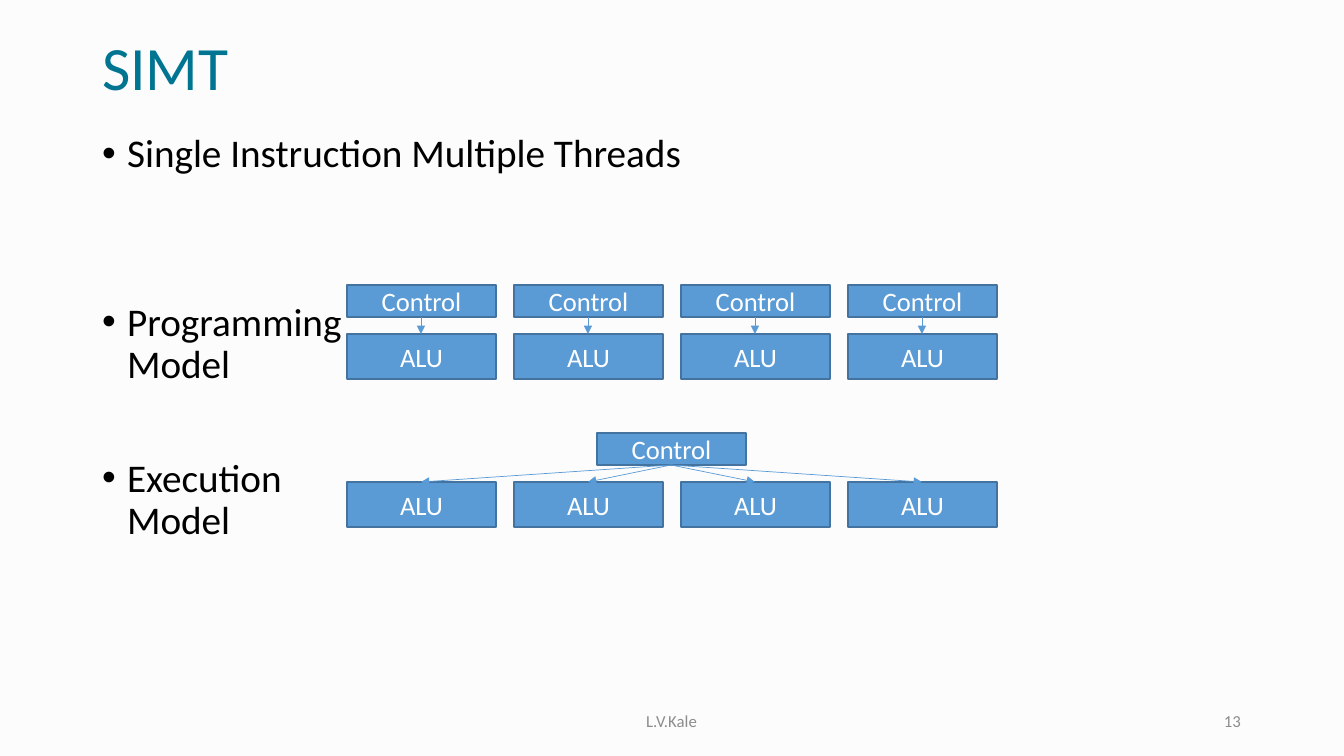
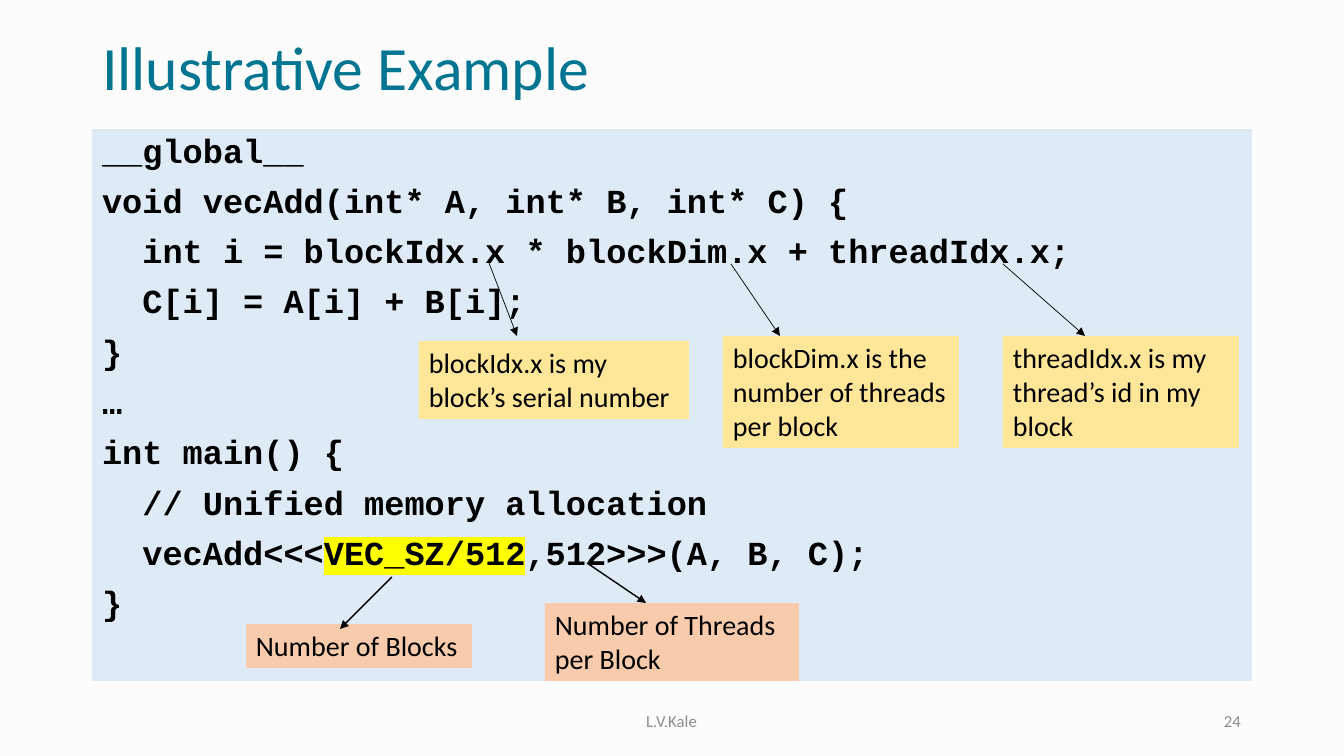
import copy
import dataclasses
import typing

import lxml.etree
import pptx
import pptx.dml.color
import pptx.enum.shapes
import pptx.enum.text
import pptx.oxml.ns
import pptx.util

PX = 12192000 / 1344
SANS, MONO = "Calibri", "Courier New"
COLORS = {
    "background": "FCFCFC", "title": "007592", "text": "000000", "footer": "8C8C8C",
    "box": "5B9BD5", "box_line": "43739E", "box_text": "FFFFFF", "code": "DEEBF7",
    "launch": "F8CBAD", "index": "FFE699", "highlight": "FFFF00",
}
ALIGN = pptx.enum.text.PP_ALIGN
ANCHOR = pptx.enum.text.MSO_ANCHOR
qn = pptx.oxml.ns.qn


class Rect(typing.NamedTuple):
    """A frame in px."""
    x: int
    y: int
    w: int
    h: int


class Style(typing.NamedTuple):
    """Look of a text run."""
    size: int
    color: str = "text"
    font: str = SANS
    bold: bool = False


@dataclasses.dataclass
class Item:
    """A body paragraph with its space before in points."""
    text: str
    before: int = 10


@dataclasses.dataclass
class Callout:
    """A coloured note."""
    text: str
    rect: Rect
    fill: str


@dataclasses.dataclass
class Arrow:
    """An arrow from one point to another, in px."""
    start: tuple[int, int]
    end: tuple[int, int]
    color: str = "text"
    width: float = 0.5


TITLE = Rect(92, 28, 1160, 85)
BODY = Rect(92, 129, 1160, 552)
FOOTER = Rect(445, 701, 453, 40)
NUMBER = Rect(949, 701, 302, 40)
TITLE_STYLE = Style(44, "title")
FOOTER_STYLE = Style(12, "footer")
LIST_STYLE = Style(28)
BOX_STYLE = Style(19, "box_text")
NOTE_STYLE = Style(20)
CODE_STYLE = Style(24, font=MONO, bold=True)

LANES, LANE_X, LANE_PITCH, BOX_W = 4, 347, 167, 149
CONTROL_H, ALU_H, ALU_DROP = 32, 45, 49
PROGRAMMING_Y, EXECUTION_Y = 285, 433

ITEMS = [
    Item("Single Instruction Multiple Threads", 0),
    Item("Programming\nModel", 90),
    Item("Execution\nModel", 51),
]
CODE = """__global__
void vecAdd(int* A, int* B, int* C) {
  int i = blockIdx.x * blockDim.x + threadIdx.x;
  C[i] = A[i] + B[i];
}
…
int main() {
  // Unified memory allocation
  vecAdd<<<VEC_SZ/512,512>>>(A, B, C);
}"""
BLOCK_COUNT = "VEC_SZ/512"
CALLOUTS = [
    Callout("Number of Blocks", Rect(246, 624, 226, 44), "launch"),
    Callout("Number of Threads per Block", Rect(545, 603, 254, 78), "launch"),
    Callout("blockIdx.x is my block’s serial number", Rect(419, 341, 270, 78), "index"),
    Callout("blockDim.x is the number of threads per block", Rect(723, 336, 236, 112), "index"),
    Callout("threadIdx.x is my thread’s id in my block", Rect(1003, 336, 236, 112), "index"),
]
CODE_ARROWS = [
    Arrow((392, 577), (340, 629), width=1),
    Arrow((587, 563), (646, 603), width=1),
    Arrow((731, 264), (780, 336)),
    Arrow((489, 263), (517, 336)),
    Arrow((1003, 264), (1085, 336)),
]


def emu(px: float) -> int:
    """Turn px into EMU."""
    return round(px * PX)


def rgb(name: str) -> pptx.dml.color.RGBColor:
    """Look up a named colour."""
    return pptx.dml.color.RGBColor.from_string(COLORS[name])


def paint(target, name: str) -> None:
    """Give a shape or background a solid fill."""
    target.fill.solid()
    target.fill.fore_color.rgb = rgb(name)


def place(shape, rect: Rect) -> None:
    """Move a shape to a frame."""
    shape.left, shape.top, shape.width, shape.height = map(emu, rect)


def format_runs(p, style: Style) -> None:
    """Apply a style to the runs and line breaks of a paragraph."""
    for r in p.runs:
        r.font.size = pptx.util.Pt(style.size)
        r.font.name = style.font
        r.font.bold = style.bold
        r.font.color.rgb = rgb(style.color)
    for br in p._p.findall(qn("a:br")):
        br.insert(0, copy.deepcopy(p.runs[0]._r.rPr))


def highlight(p, phrase: str, style: Style) -> None:
    """Put a marker colour behind one phrase of a paragraph."""
    before, after = p.text.split(phrase)
    p.text = before
    for part in (phrase, after):
        p.add_run().text = part
    format_runs(p, style)
    mark = lxml.etree.Element(qn("a:highlight"))
    lxml.etree.SubElement(mark, qn("a:srgbClr"), val=COLORS["highlight"])
    p.runs[1]._r.rPr.find(qn("a:latin")).addprevious(mark)


def set_text(shape, text: str, style: Style, align=ALIGN.LEFT, anchor=ANCHOR.TOP) -> None:
    """Fill a shape with one styled paragraph."""
    tf = shape.text_frame
    tf.word_wrap = True
    tf.auto_size = pptx.enum.text.MSO_AUTO_SIZE.NONE
    tf.vertical_anchor = anchor
    tf.text = text
    p = tf.paragraphs[0]
    p.alignment = align
    format_runs(p, style)


def add_text(s, rect: Rect, text: str, style: Style, align=ALIGN.LEFT, anchor=ANCHOR.TOP):
    """Add a text box."""
    box = s.shapes.add_textbox(*map(emu, rect))
    set_text(box, text, style, align, anchor)
    return box


def add_box(s, rect: Rect, label: str) -> None:
    """Add a labelled hardware unit."""
    box = s.shapes.add_shape(pptx.enum.shapes.MSO_SHAPE.RECTANGLE, *map(emu, rect))
    box.shadow.inherit = False
    paint(box, "box")
    box.line.color.rgb = rgb("box_line")
    box.line.width = pptx.util.Pt(1)
    set_text(box, label, BOX_STYLE, ALIGN.CENTER, ANCHOR.MIDDLE)


def add_arrow(s, arrow: Arrow) -> None:
    """Add a line with a triangle at its end."""
    kind = pptx.enum.shapes.MSO_CONNECTOR.STRAIGHT
    line = s.shapes.add_connector(kind, *map(emu, arrow.start + arrow.end))
    line.line.color.rgb = rgb(arrow.color)
    line.line.width = pptx.util.Pt(arrow.width)
    lxml.etree.SubElement(line.line._get_or_add_ln(), qn("a:tailEnd"), type="triangle")
    lxml.etree.SubElement(line._element.spPr, qn("a:effectLst"))


def fill_body(body, items: list[Item], style: Style, bullet: bool) -> None:
    """Write the body paragraphs, as bullets or plain lines."""
    place(body, BODY)
    tf = body.text_frame
    tf.word_wrap = True
    tf.auto_size = pptx.enum.text.MSO_AUTO_SIZE.NONE
    tf.vertical_anchor = ANCHOR.TOP
    indent = emu(25) if bullet else 0
    for i, item in enumerate(items):
        p = tf.add_paragraph() if i else tf.paragraphs[0]
        p.text = item.text
        pPr = p._p.get_or_add_pPr()
        pPr.set("marL", str(indent))
        pPr.set("indent", str(-indent))
        if bullet:
            lxml.etree.SubElement(pPr, qn("a:buChar"), char="•")
        else:
            lxml.etree.SubElement(pPr, qn("a:buNone"))
        p.line_spacing = 0.9
        p.space_before = pptx.util.Pt(item.before)
        format_runs(p, style)


def add_slide(prs, title: str, number: int):
    """Add a slide with the shared title and footer."""
    s = prs.slides.add_slide(prs.slide_layouts[1])
    place(s.shapes.title, TITLE)
    set_text(s.shapes.title, title, TITLE_STYLE, anchor=ANCHOR.MIDDLE)
    s.shapes.title.text_frame.paragraphs[0].line_spacing = 0.9
    add_text(s, FOOTER, "L.V.Kale", FOOTER_STYLE, ALIGN.CENTER, ANCHOR.MIDDLE)
    add_text(s, NUMBER, str(number), FOOTER_STYLE, ALIGN.RIGHT, ANCHOR.MIDDLE)
    return s


def build_simt(prs) -> None:
    """Build the slide on the two models of SIMT."""
    s = add_slide(prs, "SIMT", 13)
    fill_body(s.placeholders[1], ITEMS, LIST_STYLE, bullet=True)
    lanes = [LANE_X + LANE_PITCH * i for i in range(LANES)]
    shared = (lanes[0] + lanes[-1]) // 2
    for y, controls in ((PROGRAMMING_Y, lanes), (EXECUTION_Y, [shared] * LANES)):
        for x in sorted(set(controls)):
            add_box(s, Rect(x, y, BOX_W, CONTROL_H), "Control")
        for x in lanes:
            add_box(s, Rect(x, y + ALU_DROP, BOX_W, ALU_H), "ALU")
        for control, alu in zip(controls, lanes):
            start = (control + BOX_W // 2, y + CONTROL_H)
            end = (alu + BOX_W // 2, y + ALU_DROP)
            add_arrow(s, Arrow(start, end, "box"))


def build_example(prs) -> None:
    """Build the slide with the annotated code."""
    s = add_slide(prs, "Illustrative Example", 24)
    body = s.placeholders[1]
    paint(body, "code")
    lines = [Item(line, 10 if i else 0) for i, line in enumerate(CODE.splitlines())]
    fill_body(body, lines, CODE_STYLE, bullet=False)
    for p in body.text_frame.paragraphs:
        if BLOCK_COUNT in p.text:
            highlight(p, BLOCK_COUNT, CODE_STYLE)
    for note in CALLOUTS:
        paint(add_text(s, note.rect, note.text, NOTE_STYLE), note.fill)
    for arrow in CODE_ARROWS:
        add_arrow(s, arrow)


def main() -> None:
    """Build and save the presentation."""
    prs = pptx.Presentation()
    prs.slide_width, prs.slide_height = emu(1344), emu(756)
    paint(prs.slide_master.background, "background")
    build_simt(prs)
    build_example(prs)
    prs.save("out.pptx")


if __name__ == "__main__":
    main()
